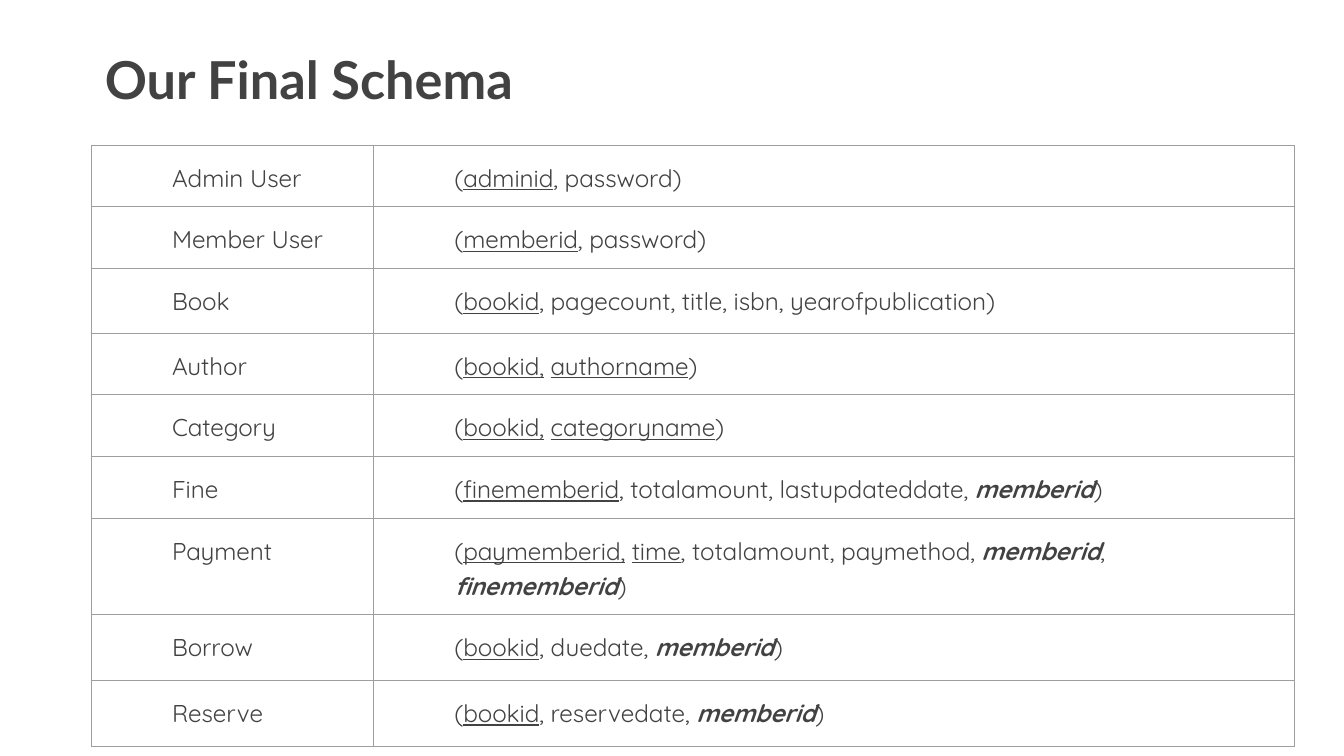
from dataclasses import dataclass

from lxml import etree
from pptx import Presentation
from pptx.dml.color import RGBColor
from pptx.enum.text import MSO_ANCHOR, PP_ALIGN
from pptx.oxml.ns import qn
from pptx.util import Inches, Pt

TOP = MSO_ANCHOR.TOP
LEFT = PP_ALIGN.LEFT


@dataclass(frozen=True)
class Theme:
    ink: str = "424242"
    border: str = "9E9E9E"
    border_width: float = 0.75
    title_font: str = "Lato"
    title_size: float = 28
    body_font: str = "Quicksand"
    body_size: float = 13
    line_spacing: float = 1.15
    inset: float = 0.1
    indent: float = 0.5


@dataclass(frozen=True)
class Span:
    text: str
    primary: bool = False
    foreign: bool = False


@dataclass(frozen=True)
class Relation:
    name: str
    height: float
    spans: tuple[Span, ...]


THEME = Theme()
PAGE_WIDTH = 10
PAGE_HEIGHT = PAGE_WIDTH * 9 / 16
MARGIN = 0.68
COLUMNS = (2.1, 6.85)


def plain(text: str) -> Span:
    return Span(text)


def key(text: str) -> Span:
    return Span(text, primary=True)


def ref(text: str) -> Span:
    return Span(text, foreign=True)


OPEN, CLOSE, GAP = plain("("), plain(")"), plain(" ")
MEMBER = ref("memberid")

RELATIONS = (
    Relation("Admin User", 0.45, (OPEN, key("adminid"), plain(", password)"))),
    Relation("Member User", 0.46, (OPEN, key("memberid"), plain(", password)"))),
    Relation("Book", 0.48, (OPEN, key("bookid"),
             plain(", pagecount, title, isbn, yearofpublication)"))),
    Relation("Author", 0.42, (OPEN, key("bookid,"), GAP, key("authorname"), CLOSE)),
    Relation("Category", 0.42, (OPEN, key("bookid,"), GAP, key("categoryname"), CLOSE)),
    Relation("Fine", 0.42, (OPEN, key("finememberid"),
             plain(", totalamount, lastupdateddate, "), MEMBER, CLOSE)),
    Relation("Payment", 0.49, (OPEN, key("paymemberid,"), GAP, key("time"),
             plain(", totalamount, paymethod, "), MEMBER, plain(", "),
             ref("finememberid"), CLOSE)),
    Relation("Borrow", 0.49, (OPEN, key("bookid"), plain(", duedate, "), MEMBER, CLOSE)),
    Relation("Reserve", 0.49, (OPEN, key("bookid"), plain(", reservedate, "), MEMBER, CLOSE)),
)


def write(para, text: str, *, font: str = THEME.body_font, size: float = THEME.body_size,
          bold: bool = False, italic: bool = False, underline: bool = False) -> None:
    run = para.add_run()
    run.text = text
    run.font.name = font
    run.font.size = Pt(size)
    run.font.bold = bold
    run.font.italic = italic
    run.font.underline = underline
    run.font.color.rgb = RGBColor.from_string(THEME.ink)


def set_insets(box) -> None:
    box.margin_left = box.margin_right = Inches(THEME.inset)
    box.margin_top = box.margin_bottom = Inches(THEME.inset)
    box.vertical_anchor = TOP


def draw_borders(cell) -> None:
    properties = cell._tc.get_or_add_tcPr()
    for position, side in enumerate(("a:lnL", "a:lnR", "a:lnT", "a:lnB")):
        line = etree.Element(qn(side), w=str(Pt(THEME.border_width)))
        fill = etree.SubElement(line, qn("a:solidFill"))
        etree.SubElement(fill, qn("a:srgbClr"), val=THEME.border)
        properties.insert(position, line)


def fill_cell(cell, spans: tuple[Span, ...]) -> None:
    cell.fill.background()
    set_insets(cell)
    draw_borders(cell)
    para = cell.text_frame.paragraphs[0]
    para.line_spacing = THEME.line_spacing
    properties = para._p.get_or_add_pPr()
    properties.set("marL", str(Inches(THEME.indent)))
    properties.set("indent", "0")
    for span in spans:
        write(para, span.text, bold=span.foreign, italic=span.foreign,
              underline=span.primary)


def add_title(page, text: str) -> None:
    title = page.shapes.title
    title.left, title.top = Inches(MARGIN), Inches(0.25)
    title.width, title.height = Inches(7.69), Inches(1.09)
    set_insets(title.text_frame)
    title.text_frame.word_wrap = True
    para = title.text_frame.paragraphs[0]
    para.alignment = LEFT
    write(para, text, font=THEME.title_font, size=THEME.title_size, bold=True)


def add_schema(page, relations: tuple[Relation, ...]) -> None:
    height = sum(relation.height for relation in relations)
    table = page.shapes.add_table(
        len(relations), len(COLUMNS), Inches(MARGIN), Inches(1.08),
        Inches(sum(COLUMNS)), Inches(height)).table
    table.first_row = table.horz_banding = False
    for column, width in zip(table.columns, COLUMNS):
        column.width = Inches(width)
    for row, relation in zip(table.rows, relations):
        row.height = Inches(relation.height)
        for cell, spans in zip(row.cells, ((plain(relation.name),), relation.spans)):
            fill_cell(cell, spans)


def main() -> None:
    deck = Presentation()
    deck.slide_width, deck.slide_height = Inches(PAGE_WIDTH), Inches(PAGE_HEIGHT)
    page = deck.slides.add_slide(deck.slide_layouts.get_by_name("Title Only"))
    add_title(page, "Our Final Schema")
    add_schema(page, RELATIONS)
    deck.save("out.pptx")


main()
